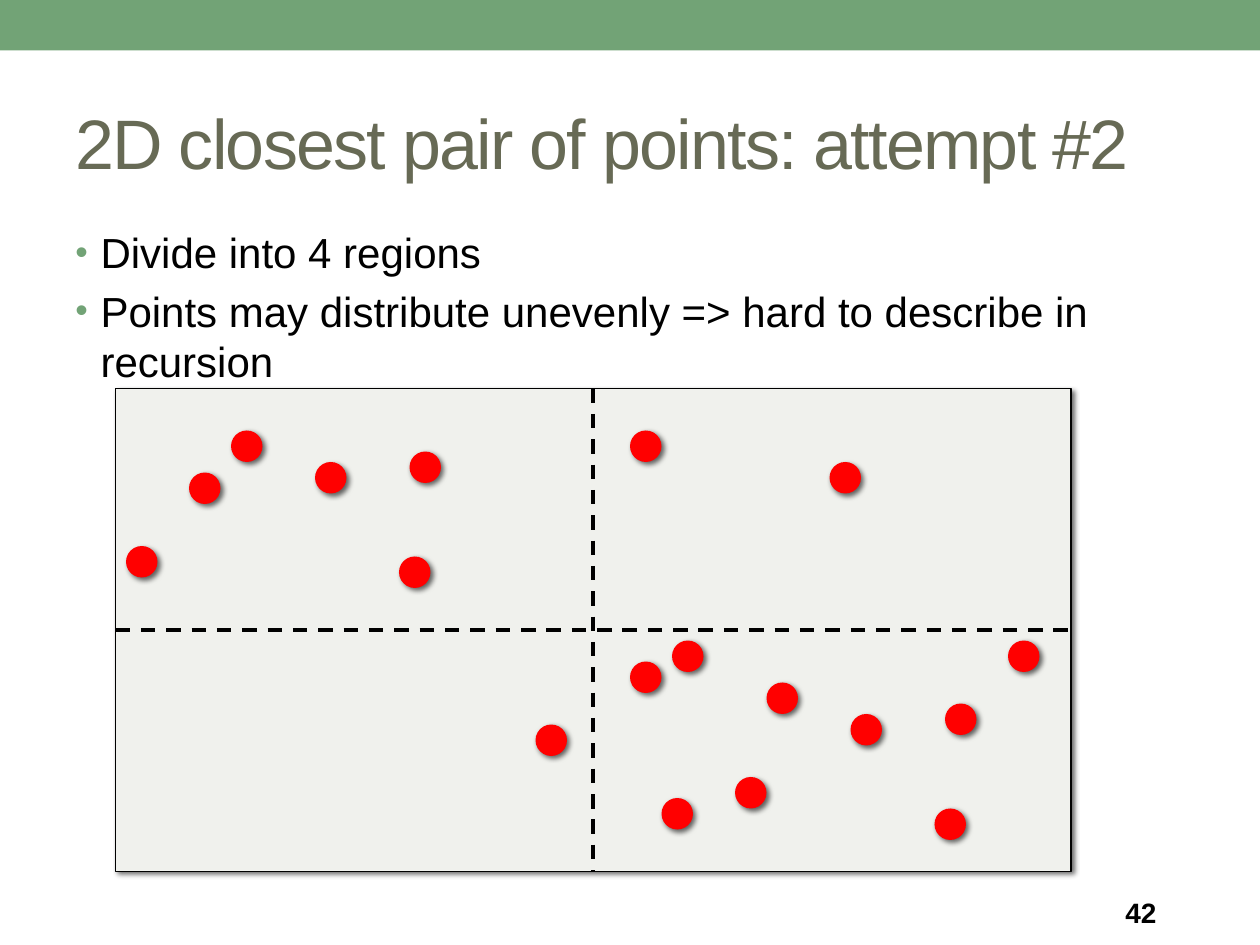
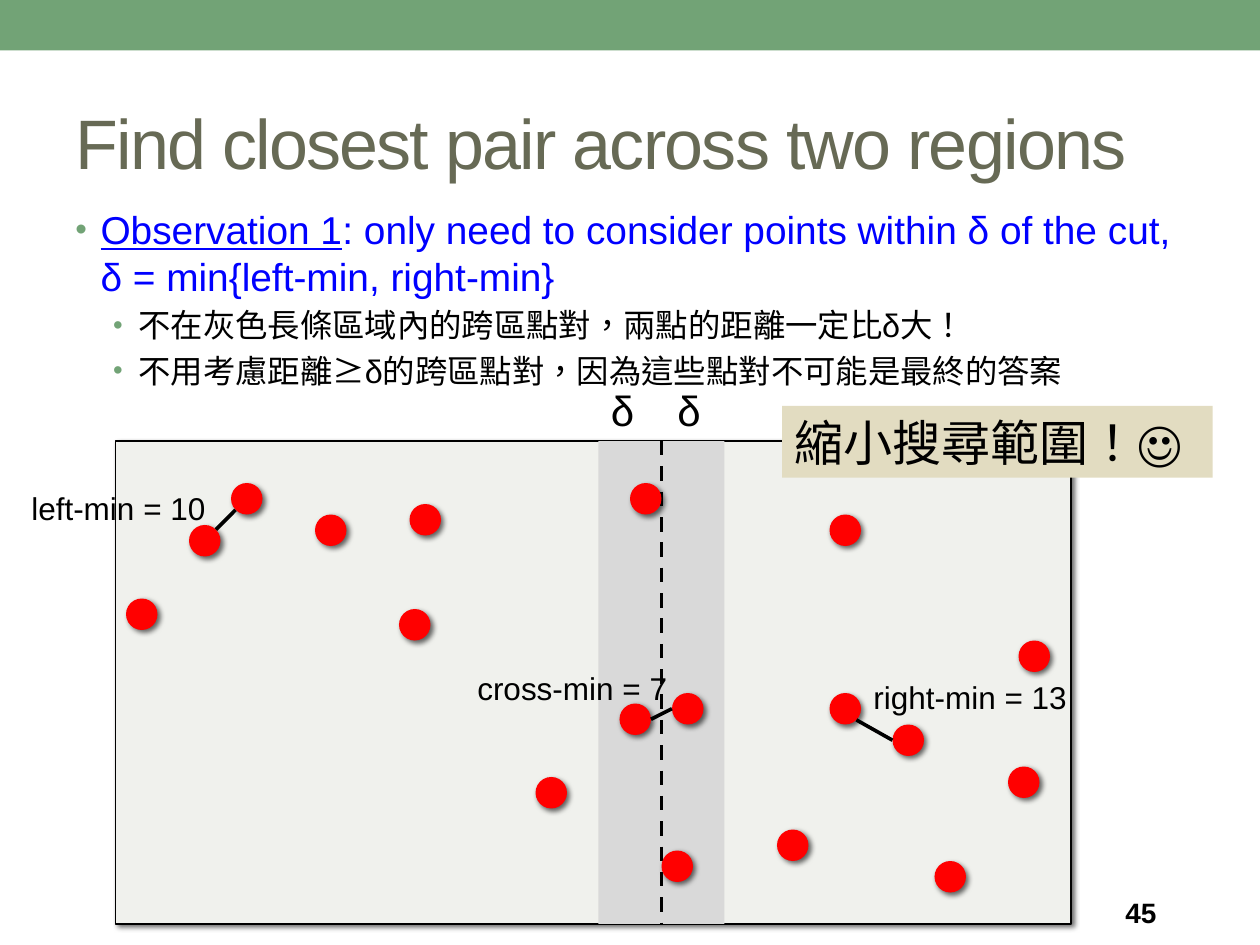
from lxml.etree import SubElement as Sub
from pptx import Presentation as Deck
from pptx.dml.color import RGBColor as Rgb
from pptx.enum.dml import MSO_LINE as Dash
from pptx.enum.lang import MSO_LANGUAGE_ID as Lang
from pptx.enum.shapes import MSO_CONNECTOR as Link, MSO_SHAPE as Form
from pptx.enum.text import MSO_ANCHOR as Anchor, PP_ALIGN as Align
from pptx.oxml.ns import qn
from pptx.util import Pt

HUES = {
    "band": "72A376", "title": "676A55", "ink": "000000", "key": "0000FF",
    "field": "F0F1ED", "strip": "D9D9D9", "dot": "FF0000", "call": "E2DCC1",
}
FONT = "Arial"
LEFT, WIDE, HIGH = 66, 546, 276
DOT = 18
SHARED = [
    (474, 42), (228, 96), (360, 24), (306, 192), (72, 90), (234, 36),
    (180, 42), (132, 24), (108, 48), (534, 240), (378, 234), (384, 144),
]
FIRST = [(360, 156), (420, 222), (576, 144), (540, 180), (486, 186), (438, 168)]
SECOND = [(354, 150), (444, 222), (582, 114), (576, 186), (510, 162), (474, 144)]


def hue(name):
    """Return the named colour."""
    return Rgb.from_string(HUES[name])


def style(run, size, color="ink", bold=None, line=None):
    """Format one run of text."""
    font = run.font
    font.name, font.size, font.bold, font.underline = FONT, Pt(size), bold, line
    font.color.rgb = hue(color)
    if any("一" <= sign <= "鿿" for sign in run.text):
        font.language_id = Lang.TRADITIONAL_CHINESE


def shade(shape):
    """Give a shape a soft shadow to the lower right."""
    fx = shape._element.spPr.find(qn("a:effectLst"))
    cast = Sub(fx, qn("a:outerShdw"), blurRad=str(Pt(3)), dist=str(Pt(2)),
               dir="2700000", algn="tl", rotWithShape="0")
    tone = Sub(cast, qn("a:srgbClr"), val=HUES["ink"])
    Sub(tone, qn("a:alpha"), val="60000")


def block(slide, box, color, form=Form.RECTANGLE, edge=False, cast=False):
    """Add a filled shape."""
    shape = slide.shapes.add_shape(form, *map(Pt, box))
    shape.shadow.inherit = False
    shape.fill.solid()
    shape.fill.fore_color.rgb = hue(color)
    if edge:
        shape.line.color.rgb = hue("ink")
        shape.line.width = Pt(0.75)
    else:
        shape.line.fill.background()
    if cast:
        shade(shape)
    return shape


def label(slide, box, text, size, color="ink", bold=None, wrap=True,
          anchor=Anchor.TOP):
    """Add a text box with one line and return its run."""
    frame = slide.shapes.add_textbox(*map(Pt, box)).text_frame
    frame.word_wrap, frame.vertical_anchor = wrap, anchor
    frame.text = text
    run = frame.paragraphs[0].runs[0]
    style(run, size, color, bold)
    return run


def bullet(para, inset):
    """Give a paragraph a hanging green bullet."""
    props = para._p.get_or_add_pPr()
    props.set("marL", str(Pt(inset)))
    props.set("indent", str(Pt(-14.4)))
    Sub(Sub(props, qn("a:buClr")), qn("a:srgbClr"), val=HUES["band"])
    Sub(props, qn("a:buSzPct"), val="85000")
    Sub(props, qn("a:buFont"), typeface=FONT)
    Sub(props, qn("a:buChar"), char="•")


def body(slide, box, rows):
    """Add bullets from rows of level, size, colour, underlined lead and text."""
    frame = slide.shapes.add_textbox(*map(Pt, box)).text_frame
    frame.word_wrap = True
    for spot, (level, size, color, lead, text) in enumerate(rows):
        para = frame.add_paragraph() if spot else frame.paragraphs[0]
        para.level = level
        bullet(para, 36 if level else 14.4)
        para.space_before = Pt(size * 0.2 if spot else 0)
        para.text = lead or text
        style(para.runs[0], size, color, line=bool(lead))
        if lead:
            tail = para.add_run()
            tail.text = text
            style(tail, size, color)


def line(slide, start, end, dash=False):
    """Add a black line between two points."""
    link = slide.shapes.add_connector(Link.STRAIGHT, *map(Pt, start + end))
    link.line.color.rgb = hue("ink")
    link.line.width = Pt(2.08)
    if dash:
        link.line.dash_style = Dash.DASH
    Sub(link._element.spPr, qn("a:effectLst"))


def field(slide, top):
    """Add the plane that holds the points."""
    block(slide, (LEFT, top, WIDE, HIGH), "field", edge=True, cast=True)


def cut(slide, x, top):
    """Add the upright dashed cut of the plane."""
    line(slide, (x, top), (x, top + HIGH), dash=True)


def dots(slide, top, spots):
    """Add the points, placed from the top of the plane."""
    for x, y in spots:
        block(slide, (x, top + y, DOT, DOT), "dot", Form.OVAL, cast=True)


def page(deck, title, number):
    """Add a slide with band, title and page number."""
    slide = deck.slides.add_slide(deck.slide_layouts[6])
    block(slide, (0, 0, 720, 28.8), "band")
    run = label(slide, (36, 42, 714, 78), title, 40, "title", anchor=Anchor.MIDDLE)
    run.font._element.set("spc", "-100")
    label(slide, (636, 508.5, 84, 26), number, 16, bold=True, anchor=Anchor.MIDDLE)
    return slide


def four(deck):
    """Build the slide on four regions."""
    slide = page(deck, "2D closest pair of points: attempt #2", "42")
    body(slide, (36, 126, 648, 384), [
        (0, 24, "ink", "", "Divide into 4 regions"),
        (0, 24, "ink", "",
         "Points may distribute unevenly => hard to describe in recursion"),
    ])
    top = 222
    mid = top + HIGH / 2
    field(slide, top)
    line(slide, (LEFT, mid), (LEFT + WIDE, mid), dash=True)
    cut(slide, LEFT + WIDE / 2, top)
    dots(slide, top, SHARED + FIRST)


def cross(deck):
    """Build the slide on pairs across the cut."""
    slide = page(deck, "Find closest pair across two regions", "45")
    top, mid, delta = 252, 378, 36
    field(slide, top)
    block(slide, (mid - delta, top, 2 * delta, HIGH), "strip")
    for x in (342, 380):
        label(slide, (x, 216, 28, 36), "δ", 24, wrap=False)
    body(slide, (36, 114, 648, 114), [
        (0, 22.2, "key", "Observation 1",
         ": only need to consider points within δ of the cut, "
         "δ = min{left-min, right-min}"),
        (1, 18.5, "ink", "", "不在灰色長條區域內的跨區點對，兩點的距離一定比δ大！"),
        (1, 18.5, "ink", "", "不用考慮距離≥δ的跨區點對，因為這些點對不可能是最終的答案"),
    ])
    cut(slide, mid, top)
    dots(slide, top, SHARED + SECOND)
    for start, end in [((134.6, 291.4), (123.4, 302.6)),
                       ((510, 423), (489.4, 411.4)),
                       ((372, 411), (384, 405))]:
        line(slide, start, end)
    for x, y, wide, text in [(10.8, 276, 115, "left-min = 10"),
                             (492, 384, 126, "right-min = 13"),
                             (265.7, 378.7, 124, "cross-min = 7")]:
        label(slide, (x, y, wide, 29), text, 18, wrap=False)
    call = block(slide, (447, 232, 246, 41), "call")
    frame = call.text_frame
    frame.text = "縮小搜尋範圍！☺"
    frame.vertical_anchor = Anchor.TOP
    frame.paragraphs[0].alignment = Align.LEFT
    style(frame.paragraphs[0].runs[0], 28)


def main():
    """Build and save the deck."""
    deck = Deck()
    deck.slide_width, deck.slide_height = Pt(720), Pt(540)
    four(deck)
    cross(deck)
    deck.save("out.pptx")


if __name__ == "__main__":
    main()
